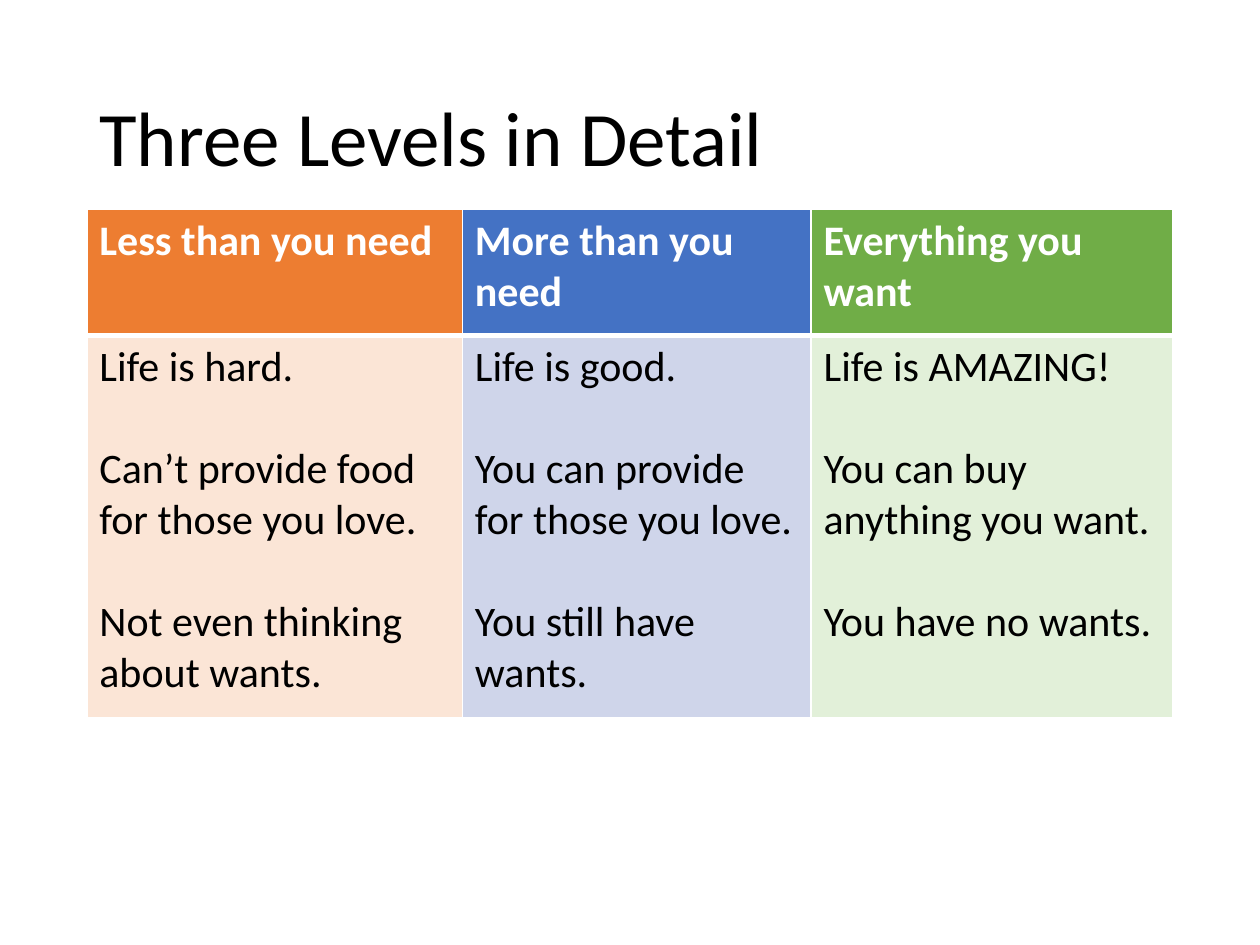
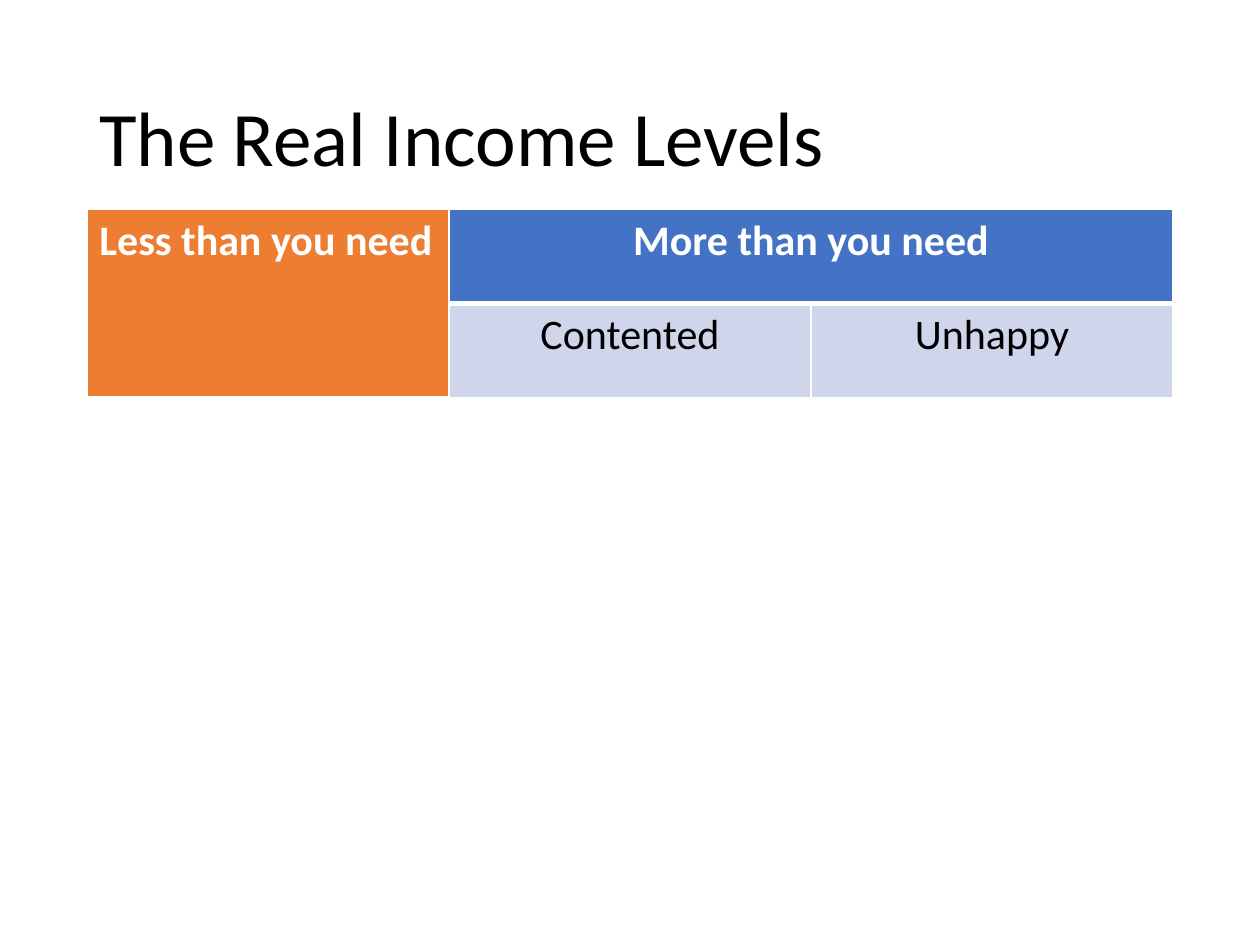
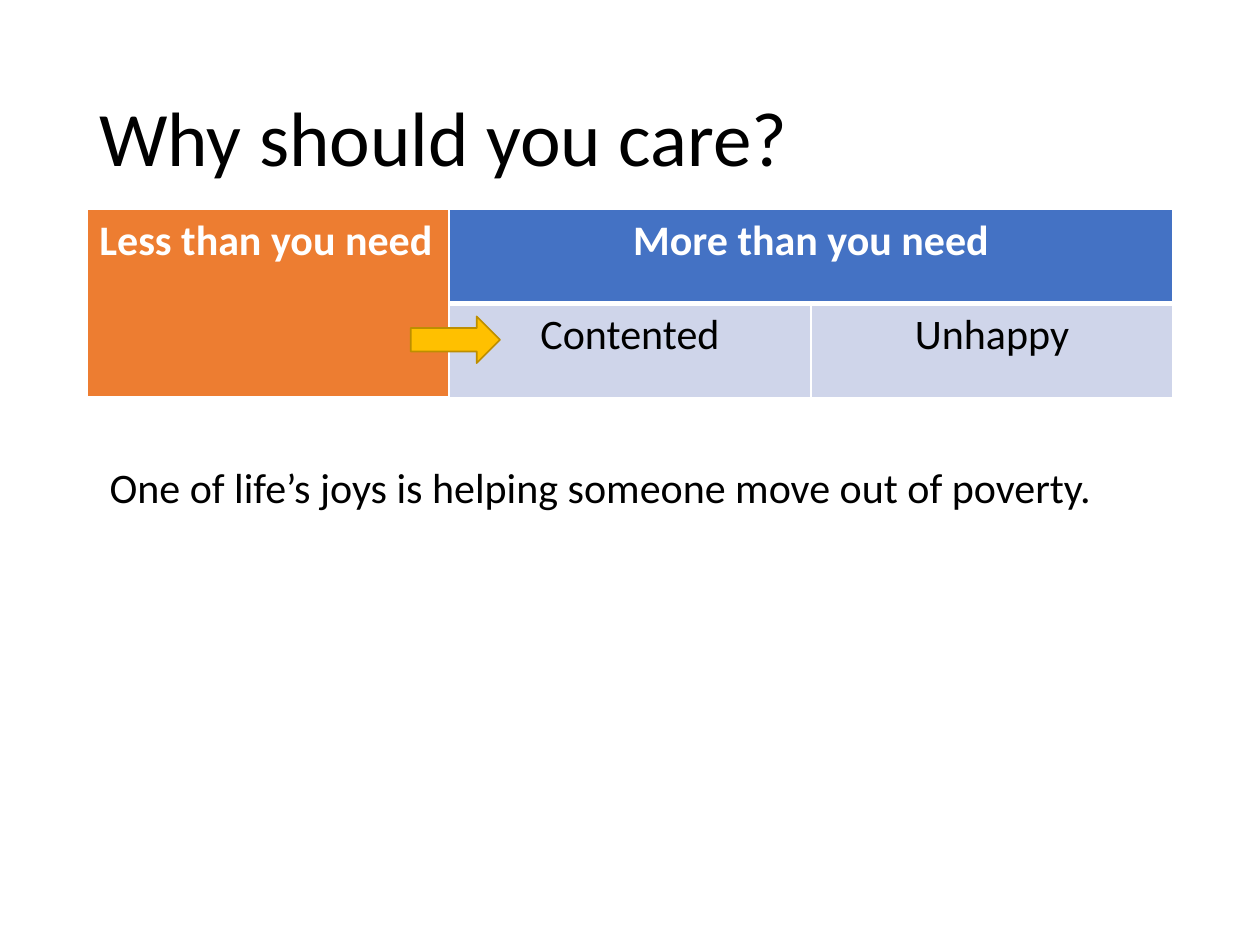
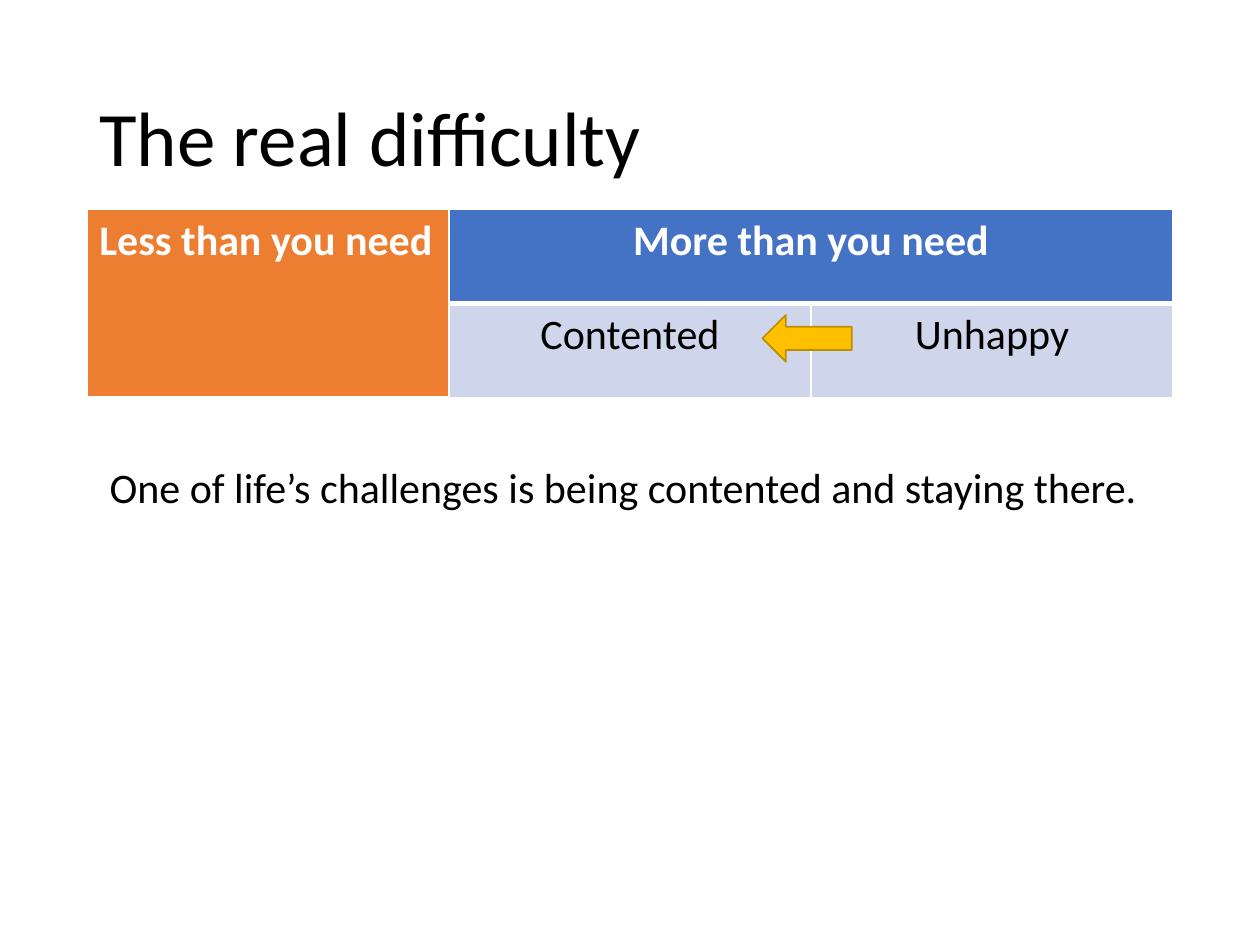
from lxml import etree
from pptx import Presentation
from pptx.dml.color import RGBColor
from pptx.enum import shapes, text
from pptx.oxml import ns
from pptx.util import Cm, Pt

rgb = RGBColor.from_string
FONT = "Calibri"
BLACK, WHITE = "000000", "FFFFFF"
ORANGE, BLUE, GREEN = "ED7D31", "4472C4", "70AD47"
PALE_ORANGE, PALE_BLUE, PALE_GREEN = "FBE5D6", "CFD5EA", "E2F0D9"
GOLD, DARK_GOLD = "FFC000", "BD8E00"
LEFT, WIDTH, TABLE_TOP = Cm(1.75), Cm(21.9), Cm(4.22)
LEFT_AL, CENTER = text.PP_ALIGN.LEFT, text.PP_ALIGN.CENTER


def write(tf, *lines, size=24, color=BLACK, bold=False, align=LEFT_AL, spacing=None, gap=0):
    """Write one paragraph per line, with gap points between them."""
    for i, line in enumerate(lines):
        p = tf.paragraphs[0] if i == 0 else tf.add_paragraph()
        p.alignment = align
        p.line_spacing = spacing
        if i < len(lines) - 1:
            p.space_after = Pt(gap)
        r = p.add_run()
        r.text = line
        r.font.name, r.font.size, r.font.bold = FONT, Pt(size), bold
        r.font.color.rgb = rgb(color)


def fill_cell(cell, fill, *lines, header=False, align=LEFT_AL):
    """Fill a cell; a thick white rule parts the header from the body."""
    thick = "B" if header else "T"
    tc_pr = cell._tc.get_or_add_tcPr()
    for side in "LRTB":
        ln = etree.SubElement(tc_pr, ns.qn(f"a:ln{side}"), w=str(Pt(3 if side == thick else 1)))
        solid = etree.SubElement(ln, ns.qn("a:solidFill"))
        etree.SubElement(solid, ns.qn("a:srgbClr"), val=WHITE)
    cell.fill.solid()
    cell.fill.fore_color.rgb = rgb(fill)
    write(cell.text_frame, *lines, color=WHITE if header else BLACK,
          bold=header, align=align, gap=29)


prs = Presentation()
prs.slide_width, prs.slide_height = Cm(25.4), Cm(19.05)

# Titles
slides = []
for title in ("Three Levels in Detail", "The Real Income Levels",
              "Why should you care?", "The real difficulty"):
    s = prs.slides.add_slide(prs.slide_layouts[5])
    sp = s.shapes.title
    sp.left, sp.top, sp.width, sp.height = LEFT, Cm(1.02), WIDTH, Cm(3.68)
    sp.text_frame.vertical_anchor = text.MSO_ANCHOR.MIDDLE
    write(sp.text_frame, title, size=44, spacing=0.9)
    slides.append(s)

# Slide 1: the three levels
levels = [
    (7.57, ORANGE, PALE_ORANGE, "Less than you need",
     ("Life is hard.", "Can’t provide food for those you love.",
      "Not even thinking about wants.")),
    (7.03, BLUE, PALE_BLUE, "More than you need",
     ("Life is good.", "You can provide for those you love.", "You still have wants.")),
    (7.3, GREEN, PALE_GREEN, "Everything you want",
     ("Life is AMAZING!", "You can buy anything you want.", "You have no wants.")),
]
table = slides[0].shapes.add_table(2, 3, LEFT, TABLE_TOP, WIDTH, Cm(10.24)).table
table.rows[0].height, table.rows[1].height = Cm(2.54), Cm(7.7)
for col, (width, strong, pale, level, details) in enumerate(levels):
    table.columns[col].width = Cm(width)
    fill_cell(table.cell(0, col), strong, level, header=True)
    fill_cell(table.cell(1, col), pale, *details)

# Slides 2 to 4: the real income levels
for s in slides[1:]:
    table = s.shapes.add_table(2, 3, LEFT, TABLE_TOP, WIDTH, Cm(3.8)).table
    table.cell(0, 0).merge(table.cell(1, 0))
    table.cell(0, 1).merge(table.cell(0, 2))
    fill_cell(table.cell(0, 0), ORANGE, "Less than you need", header=True)
    fill_cell(table.cell(0, 1), BLUE, "More than you need", header=True, align=CENTER)
    for col, mood in enumerate(("Contented", "Unhappy"), start=1):
        fill_cell(table.cell(1, col), PALE_BLUE, mood, align=CENTER)

# Slides 3 and 4: the move between levels and its message
moves = [
    (8.28, 6.38, 0, "One of life’s joys is helping someone move out of poverty."),
    (15.37, 6.35, 180, "One of life’s challenges is being contented and staying there."),
]
for s, (left, top, rotation, message) in zip(slides[2:], moves):
    arrow = s.shapes.add_shape(shapes.MSO_SHAPE.RIGHT_ARROW, Cm(left), Cm(top), Cm(1.8), Cm(0.94))
    arrow.rotation = rotation
    arrow.shadow.inherit = False
    arrow.fill.solid()
    arrow.fill.fore_color.rgb = rgb(GOLD)
    arrow.line.color.rgb = rgb(DARK_GOLD)
    arrow.line.width = Pt(1)
    tf = s.shapes.add_textbox(Cm(1.96), Cm(9.17), Cm(21.69), Cm(1.27)).text_frame
    tf.word_wrap = True
    tf.auto_size = text.MSO_AUTO_SIZE.SHAPE_TO_FIT_TEXT
    write(tf, message)

prs.save("out.pptx")
